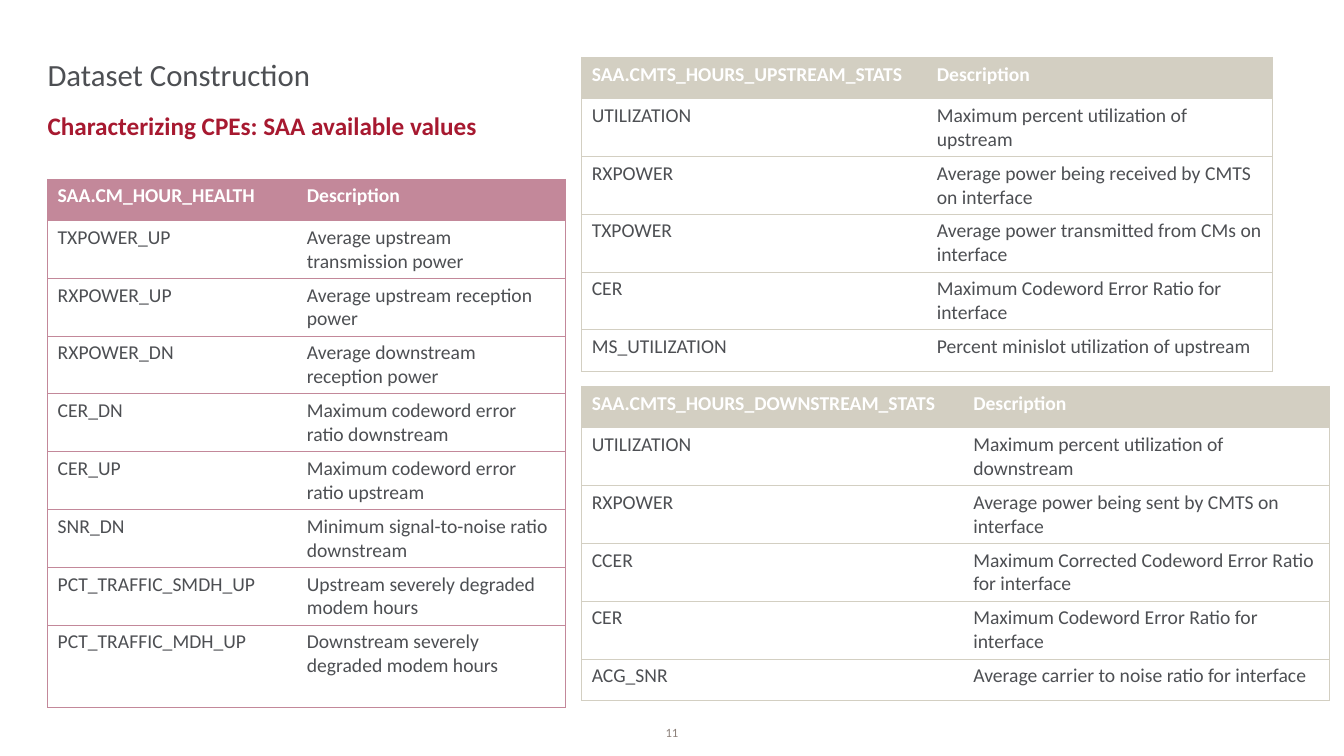
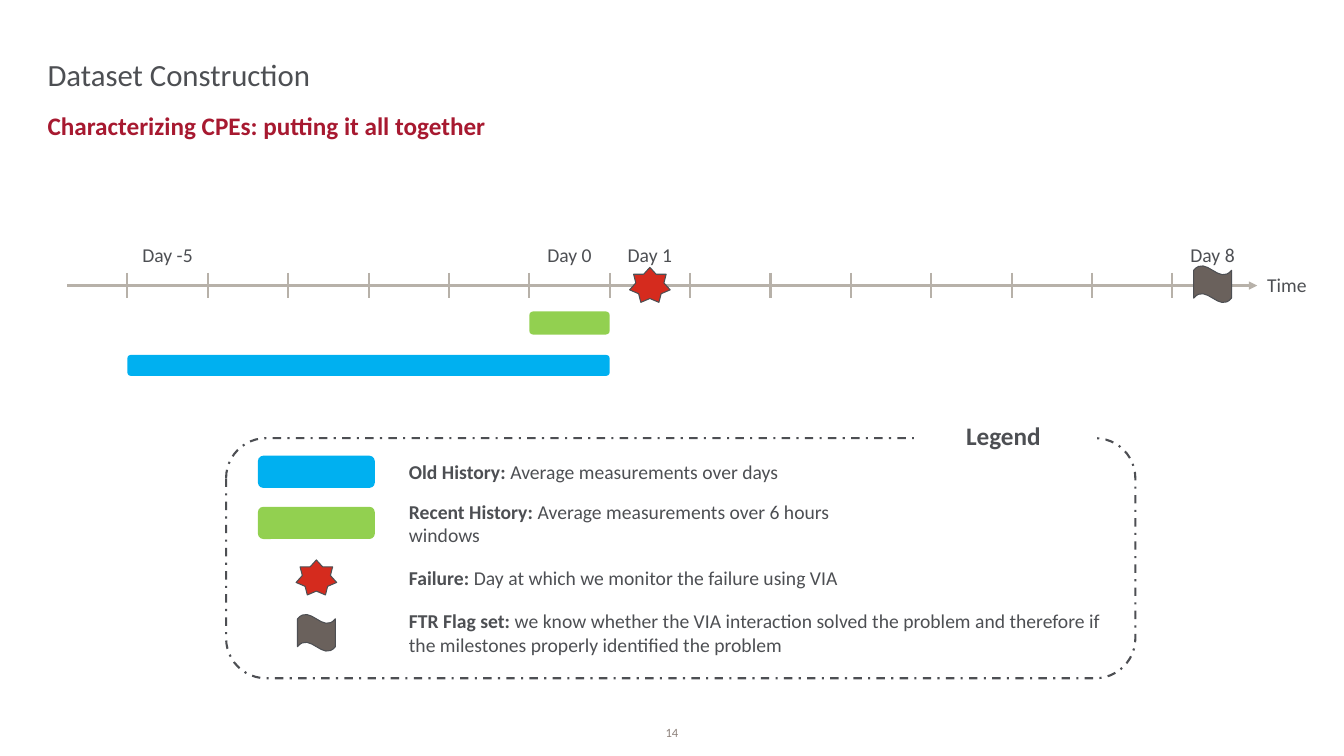
import dataclasses
import typing

import lxml.etree
import pptx
import pptx.dml.color
import pptx.enum.dml
import pptx.enum.shapes
import pptx.enum.text
import pptx.oxml.ns
import pptx.shapes.autoshape
import pptx.slide
import pptx.text.text
import pptx.util

Pt = pptx.util.Pt
Slide = pptx.slide.Slide
Kind = pptx.enum.shapes.MSO_SHAPE
Align = pptx.enum.text.PP_ALIGN
Anchor = pptx.enum.text.MSO_ANCHOR


# Theme
@dataclasses.dataclass(frozen=True)
class Theme:
    font: str = "Calibri"
    ink: str = "4D4F53"
    brand: str = "A71930"
    faint: str = "8D817B"
    white: str = "FFFFFF"
    rose: str = "C3889A"
    sand: str = "D3CFC2"
    axis: str = "B7B1A9"
    green: str = "92D050"
    blue: str = "00B0F0"
    red: str = "D52B1E"
    brown: str = "6A615C"
    title: float = 22
    head: float = 18
    text: float = 14
    note: float = 9


THEME = Theme()


class Box(typing.NamedTuple):
    left: float
    top: float
    width: float
    height: float

    def lengths(self) -> list[pptx.util.Length]:
        return [Pt(side) for side in self]


@dataclasses.dataclass(frozen=True)
class Grid:
    left: float
    top: float
    cols: tuple[float, float]
    color: str
    rows: list[tuple[str, str]]
    last: float = 29.5


@dataclasses.dataclass(frozen=True)
class Mark:
    kind: Kind
    width: float
    height: float
    fill: str
    edge: bool = False


@dataclasses.dataclass(frozen=True)
class Entry:
    mark: Mark
    mid: float
    width: float
    lines: int
    term: str
    text: str


# Shared helpers
def rgb(code: str) -> pptx.dml.color.RGBColor:
    return pptx.dml.color.RGBColor.from_string(code)


def add_node(root: typing.Any, tag: str, **attrs: str) -> typing.Any:
    node = lxml.etree.SubElement(root, pptx.oxml.ns.qn(tag))
    for name, value in attrs.items():
        node.set(name, value)
    return node


def style(para: pptx.text.text._Paragraph, size: float, color: str = THEME.ink,
          bold: bool = False, align: Align = Align.LEFT) -> None:
    para.alignment = align
    font = para.font
    font.name, font.size, font.bold = THEME.font, Pt(size), bold
    font.color.rgb = rgb(color)


def add_text(slide: Slide, box: Box, text: str, align: Align = Align.LEFT,
             size: float = THEME.text, color: str = THEME.ink,
             term: str = "") -> pptx.text.text.TextFrame:
    frame = slide.shapes.add_textbox(*box.lengths()).text_frame
    frame.word_wrap = True
    para = frame.paragraphs[0]
    if term:
        run = para.add_run()
        run.text, run.font.bold = term + " ", True
    para.add_run().text = text
    style(para, size, color, align=align)
    return frame


def no_inset(frame: pptx.text.text.TextFrame, anchor: Anchor) -> None:
    frame.margin_left = frame.margin_right = 0
    frame.margin_top = frame.margin_bottom = 0
    frame.vertical_anchor = anchor
    frame.auto_size = pptx.enum.text.MSO_AUTO_SIZE.NONE


def fill_holder(holder: typing.Any, box: Box, text: str, anchor: Anchor) -> pptx.text.text._Paragraph:
    holder.left, holder.top, holder.width, holder.height = box.lengths()
    frame = holder.text_frame
    frame.text = text
    no_inset(frame, anchor)
    para = frame.paragraphs[0]
    para.space_before = Pt(0)
    return para


def add_slide(deck: typing.Any, topic: str, page: str) -> Slide:
    slide = deck.slides.add_slide(deck.slide_layouts[1])
    title, body = slide.placeholders
    para = fill_holder(title, Box(34, 15, 892, 51), "Dataset Construction", Anchor.BOTTOM)
    style(para, THEME.title)

    para = fill_holder(body, Box(34, 79, 892, 27), topic, Anchor.TOP)
    para.space_after = Pt(3)
    props = para._p.get_or_add_pPr()
    props.set("marL", "0")
    props.set("indent", "0")
    add_node(props, "a:buNone")
    style(para, THEME.head, THEME.brand, bold=True)

    foot = add_text(slide, Box(458.5, 512, 43, 16.5), page, Align.CENTER, THEME.note, THEME.faint)
    no_inset(foot, Anchor.BOTTOM)
    return slide


# Tables
def add_edge(cell: typing.Any, side: str, color: str | None) -> None:
    line = add_node(cell._tc.get_or_add_tcPr(), f"a:ln{side}", w=str(Pt(0.75)))
    if color:
        add_node(add_node(line, "a:solidFill"), "a:srgbClr", val=color)
    else:
        add_node(line, "a:noFill")


def add_grid(slide: Slide, grid: Grid) -> None:
    count, high = len(grid.rows), 29.5
    box = Box(grid.left, grid.top, sum(grid.cols), high * count)
    table = slide.shapes.add_table(count, 2, *box.lengths()).table
    table.first_row = table.horz_banding = False
    for col, width in zip(table.columns, grid.cols):
        col.width = Pt(width)
    for index, (row, texts) in enumerate(zip(table.rows, grid.rows)):
        row.height = Pt(grid.last if index == count - 1 else high)
        for place, (cell, text) in enumerate(zip(row.cells, texts)):
            cell.text = text
            add_edge(cell, "L", None if place else grid.color)
            add_edge(cell, "R", grid.color if place else None)
            add_edge(cell, "T", grid.color)
            add_edge(cell, "B", grid.color)
            head = index == 0
            if head:
                cell.fill.solid()
                cell.fill.fore_color.rgb = rgb(grid.color)
            else:
                cell.fill.background()
            style(cell.text_frame.paragraphs[0], THEME.text, THEME.white if head else THEME.ink, head)


GRIDS = [
    Grid(34, 128, (178, 192), THEME.rose, [
        ("SAA.CM_HOUR_HEALTH", "Description"),
        ("TXPOWER_UP", "Average upstream transmission power"),
        ("RXPOWER_UP", "Average upstream reception power"),
        ("RXPOWER_DN", "Average downstream reception power"),
        ("CER_DN", "Maximum codeword error ratio downstream"),
        ("CER_UP", "Maximum codeword error ratio upstream"),
        ("SNR_DN", "Minimum signal-to-noise ratio downstream"),
        ("PCT_TRAFFIC_SMDH_UP", "Upstream severely degraded modem hours"),
        ("PCT_TRAFFIC_MDH_UP", "Downstream severely degraded modem hours"),
    ], last=58.5),
    Grid(415.5, 41, (246.5, 247), THEME.sand, [
        ("SAA.CMTS_HOURS_UPSTREAM_STATS", "Description"),
        ("UTILIZATION", "Maximum percent utilization of upstream"),
        ("RXPOWER", "Average power being received by CMTS on interface"),
        ("TXPOWER", "Average power transmitted from CMs on interface"),
        ("CER", "Maximum Codeword Error Ratio for interface"),
        ("MS_UTILIZATION", "Percent minislot utilization of upstream"),
    ]),
    Grid(415.5, 276, (272.5, 262), THEME.sand, [
        ("SAA.CMTS_HOURS_DOWNSTREAM_STATS", "Description"),
        ("UTILIZATION", "Maximum percent utilization of downstream"),
        ("RXPOWER", "Average power being sent by CMTS on interface"),
        ("CCER", "Maximum Corrected Codeword Error Ratio for interface"),
        ("CER", "Maximum Codeword Error Ratio for interface"),
        ("ACG_SNR", "Average carrier to noise ratio for interface"),
    ]),
]


# Shapes and lines
def add_shape(slide: Slide, kind: Kind, box: Box, fill: str | None = None,
              edge: float = 0) -> pptx.shapes.autoshape.Shape:
    shape = slide.shapes.add_shape(kind, *box.lengths())
    shape.shadow.inherit = False
    if fill:
        shape.fill.solid()
        shape.fill.fore_color.rgb = rgb(fill)
    else:
        shape.fill.background()
    if edge:
        shape.line.color.rgb = rgb(THEME.ink)
        shape.line.width = Pt(edge)
    else:
        shape.line.fill.background()
    return shape


def add_mark(slide: Slide, mark: Mark, x: float, y: float) -> None:
    box = Box(x - mark.width / 2, y - mark.height / 2, mark.width, mark.height)
    add_shape(slide, mark.kind, box, mark.fill, 0.75 if mark.edge else 0)


def add_line(slide: Slide, start: tuple[float, float], end: tuple[float, float],
             width: float, arrow: bool = False) -> None:
    ends = [Pt(value) for value in (*start, *end)]
    line = slide.shapes.add_connector(pptx.enum.shapes.MSO_CONNECTOR.STRAIGHT, *ends)
    line.line.color.rgb = rgb(THEME.axis)
    line.line.width = Pt(width)
    if arrow:
        add_node(line.line._get_or_add_ln(), "a:tailEnd", type="triangle")
    add_node(line._element.spPr, "a:effectLst")


STAR = Mark(Kind.STAR_7_POINT, 29, 25, THEME.red, True)
FLAG = Mark(Kind.WAVE, 27, 26.5, THEME.brown, True)
OLD = Mark(Kind.ROUNDED_RECTANGLE, 83.5, 23, THEME.blue)
NEW = Mark(Kind.ROUNDED_RECTANGLE, 83.5, 23, THEME.green)

ENTRIES = [
    Entry(OLD, 337, 287, 1, "Old History:", "Average measurements over days"),
    Entry(NEW, 373.5, 330.5, 2, "Recent History:", "Average measurements over 6 hours windows"),
    Entry(STAR, 412.5, 330.5, 1, "Failure:", "Day at which we monitor the failure using VIA"),
    Entry(FLAG, 452, 528.5, 2, "FTR Flag set:",
          "we know whether the VIA interaction solved the problem "
          "and therefore if the milestones properly identified the problem"),
]


# Timeline
def add_time(slide: Slide) -> None:
    first, step, y = 91, 57.42, 204
    add_line(slide, (48, y), (898, y), 1.75, arrow=True)
    add_text(slide, Box(898, 191.5, 60, 24.5), "Time")
    for tick in range(14):
        x = first + tick * step
        add_line(slide, (x, y - 9), (x, y + 9), 1.5)
    for slot, label in {0: "Day -5", 5: "Day 0", 6: "Day 1", 13: "Day 8"}.items():
        add_text(slide, Box(first + slot * step, 170, step, 24.5), label, Align.CENTER)
    for slot, days, top, high, fill in ((5, 1, 222.5, 16.5, THEME.green),
                                        (0, 6, 253.5, 15, THEME.blue)):
        box = Box(first + slot * step, top, days * step, high)
        add_shape(slide, Kind.ROUNDED_RECTANGLE, box, fill)
    add_mark(slide, STAR, first + 6.5 * step, y - 0.5)
    add_mark(slide, FLAG, first + 13.5 * step, y - 1)


# Legend
def add_key(slide: Slide) -> None:
    for entry in ENTRIES:
        add_mark(slide, entry.mark, 226, entry.mid)
        high = 7.4 + 17.1 * entry.lines
        box = Box(285, entry.mid + 0.5 - high / 2, entry.width, high)
        add_text(slide, box, entry.text, term=entry.term)
    frame = add_shape(slide, Kind.ROUNDED_RECTANGLE, Box(161.5, 313, 649.5, 171.5), edge=1.5)
    frame.line.dash_style = pptx.enum.dml.MSO_LINE.DASH_DOT
    label = add_shape(slide, Kind.RECTANGLE, Box(653, 296.5, 127.5, 29), THEME.white)
    label.text_frame.text = "Legend"
    style(label.text_frame.paragraphs[0], THEME.head, bold=True, align=Align.CENTER)


def main() -> None:
    deck = pptx.Presentation()
    deck.slide_width, deck.slide_height = Pt(960), Pt(540)
    slide = add_slide(deck, "Characterizing CPEs: SAA available values", "11")
    for grid in GRIDS:
        add_grid(slide, grid)
    slide = add_slide(deck, "Characterizing CPEs: putting it all together", "14")
    add_time(slide)
    add_key(slide)
    deck.save("out.pptx")


if __name__ == "__main__":
    main()
